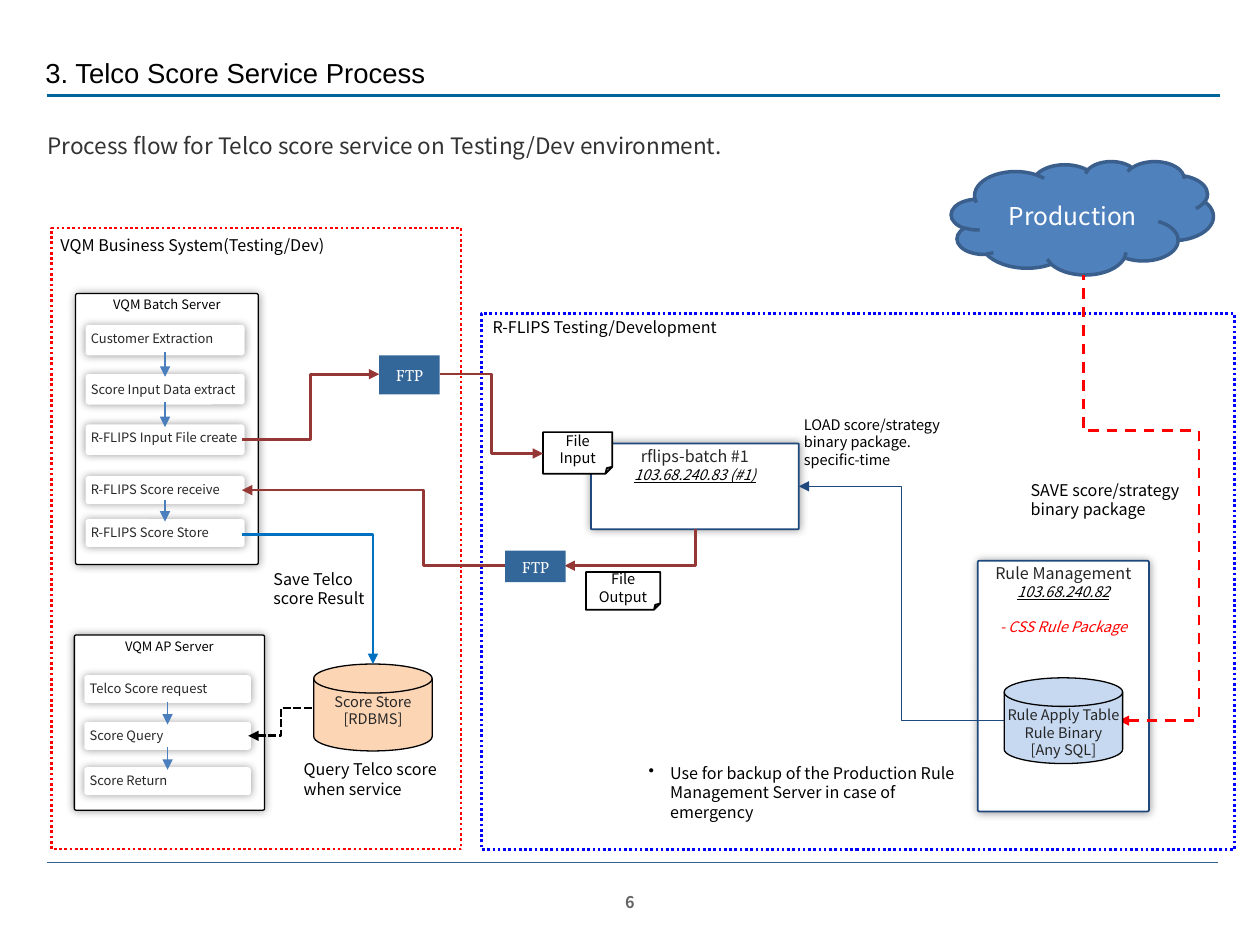
from lxml import etree
from pptx import Presentation
from pptx.dml.color import RGBColor
from pptx.enum.dml import MSO_LINE
from pptx.enum.shapes import MSO_CONNECTOR, MSO_SHAPE
from pptx.enum.text import MSO_ANCHOR, PP_ALIGN
from pptx.oxml.ns import qn
from pptx.util import Inches, Pt

CENTER, LEFT = PP_ALIGN.CENTER, PP_ALIGN.LEFT
TOP, MIDDLE = MSO_ANCHOR.TOP, MSO_ANCHOR.MIDDLE
RECT, ROUND = MSO_SHAPE.RECTANGLE, MSO_SHAPE.ROUNDED_RECTANGLE
FOLDED, CLOUD = MSO_SHAPE.FOLDED_CORNER, MSO_SHAPE.CLOUD
DISK = MSO_SHAPE.FLOWCHART_MAGNETIC_DISK
STRAIGHT, ELBOW = MSO_CONNECTOR.STRAIGHT, MSO_CONNECTOR.ELBOW
DOT, SHORT_DASH, DASH = MSO_LINE.ROUND_DOT, MSO_LINE.SQUARE_DOT, MSO_LINE.DASH

BLACK, WHITE, GREY = "000000", "FFFFFF", "262626"
NAVY, MAROON, RED, BLUE = "1F497D", "953735", "FF0000", "0000FF"
INSETS = (0.1, 0.05, 0.1, 0.05)
SMALL, MEDIUM, LARGE = 7.4, 8.3, 9.2


def rgb(value):
    return RGBColor.from_string(value)


def add_node(parent, tag, **attrs):
    return etree.SubElement(parent, qn(tag), {k: str(v) for k, v in attrs.items()})


class Diagram:
    font = "Noto Sans CJK KR"

    def __init__(self, slide):
        self.shapes = slide.shapes

    def set_text(self, sp, lines, size, color, align=LEFT, anchor=TOP,
                 insets=INSETS, wrap=True, font=None):
        tf = sp.text_frame
        tf.word_wrap, tf.vertical_anchor = wrap, anchor
        tf.margin_left, tf.margin_top, tf.margin_right, tf.margin_bottom = map(Inches, insets)
        tf.text = "\n".join(lines)
        for p in tf.paragraphs:
            p.alignment = align
            self.style(p, size, color, font=font)

    def style(self, p, size, color, font=None, **flags):
        """Format the runs of a paragraph; flags are font attributes such as italic."""
        for r in p.runs:
            r.font.size, r.font.color.rgb = Pt(size), rgb(color)
            r.font.name = font or self.font
            for name in flags:
                setattr(r.font, name, flags[name])

    def label(self, box, lines, size=LARGE, color=BLACK, insets=(0, 0, 0, 0), **text):
        sp = self.shapes.add_textbox(*map(Inches, box))
        self.set_text(sp, lines, size, color, insets=insets, **text)
        return sp

    def stroke(self, line, color, width, dash=None):
        line.color.rgb, line.width = rgb(color), Pt(width)
        if dash:
            line.dash_style = dash

    def shape(self, kind, box, fill=None, line=None, dash=None):
        """line is a (colour, points) pair."""
        sp = self.shapes.add_shape(kind, *map(Inches, box))
        sp.shadow.inherit = False
        if fill:
            sp.fill.solid()
            sp.fill.fore_color.rgb = rgb(fill)
        else:
            sp.fill.background()
        if line:
            self.stroke(sp.line, *line, dash)
        else:
            sp.line.fill.background()
        return sp

    def card(self, box, lines, size, color, line, align=CENTER, anchor=TOP):
        """White box with a soft shadow all round."""
        sp = self.shape(ROUND, box, WHITE, line)
        sp.adjustments[0] = 0.01
        effects = sp._element.spPr.find(qn("a:effectLst"))
        shadow = add_node(effects, "a:outerShdw", blurRad=int(Pt(5)), dist=0, algn="ctr")
        add_node(add_node(shadow, "a:srgbClr", val=BLACK), "a:alpha", val=40000)
        self.set_text(sp, lines, size, color, align, anchor, (0.02,) * 4)
        return sp

    def step(self, box, text, anchor=TOP):
        self.card(box, [text], SMALL, GREY, (WHITE, 3), LEFT, anchor)

    def host(self, box, lines):
        """Server card whose second line is its address."""
        sp = self.card(box, lines, LARGE, GREY, (NAVY, 1))
        self.style(sp.text_frame.paragraphs[1], MEDIUM, BLACK, italic=True, underline=True)
        return sp

    def disk(self, box, lines, fill):
        sp = self.shape(DISK, box, fill, (BLACK, 0.75))
        self.set_text(sp, lines, MEDIUM, GREY, CENTER, insets=(0, 0, 0, 0))

    def file(self, box, lines):
        sp = self.shape(FOLDED, box, WHITE, (BLACK, 1))
        self.set_text(sp, lines, MEDIUM, BLACK, CENTER, MIDDLE)

    def ftp(self, box):
        sp = self.shape(RECT, box, "336699")
        self.set_text(sp, ["FTP"], LARGE, WHITE, CENTER, MIDDLE, font="Vollkorn")
        sp.text_frame.paragraphs[0].line_spacing = 1.05

    def connect(self, start, end, color, width, arrow=None, dash=None,
                kind=STRAIGHT, preset=None, bends=()):
        """arrow is headEnd (at start) or tailEnd; bends are fractions of the extent."""
        cn = self.shapes.add_connector(kind, *map(Inches, start + end))
        self.stroke(cn.line, color, width, dash)
        sp_pr = cn._element.spPr
        if arrow:
            add_node(sp_pr.find(qn("a:ln")), "a:" + arrow, type="triangle")
        add_node(sp_pr, "a:effectLst")
        geometry = sp_pr.find(qn("a:prstGeom"))
        if preset:
            geometry.set("prst", preset)
        for i, bend in enumerate(bends, 1):
            add_node(geometry.find(qn("a:avLst")), "a:gd", name=f"adj{i}",
                     fmla=f"val {round(bend * 100000)}")

    def elbow(self, start, end, color, width=1.5, arrow="headEnd", **route):
        self.connect(start, end, color, width, arrow, kind=ELBOW, **route)


def draw_frame(d):
    d.connect((0.37, 6.84), (9.67, 6.84), "376092", 0.25)
    d.connect((0.37, 0.76), (9.68, 0.76), "006699", 1.5)
    page = d.label((4.82, 7.03, 0.36, 0.29), ["6"], LARGE, "646464", INSETS,
                   align=CENTER, wrap=False)
    page.text_frame.paragraphs[0].runs[0].font.bold = True
    title = d.label((0.36, 0.3, 4.34, 0.36), ["3. Telco Score Service Process"], 15.7,
                    anchor=MIDDLE, font="Arial")
    title.text_frame.paragraphs[0].line_spacing = Pt(33.2)
    intro = d.label((0.28, 1, 9.45, 0.32),
                    ["Process flow for Telco score service on Testing/Dev environment."],
                    12.9, "323232", INSETS)
    intro.text_frame.paragraphs[0].space_before = Pt(6)


def draw_rule_system(d):
    d.host((4.69, 3.52, 1.65, 0.68), ["rflips-batch #1", "103.68.240.83 (#1)"])
    d.label((8.18, 3.81, 1.36, 0.31), ["SAVE score/strategy", "binary package"])
    d.label((6.38, 3.3, 1.3, 0.42),
            ["LOAD score/strategy binary package.", "specific-time"], MEDIUM)
    d.shape(RECT, (3.82, 2.49, 5.98, 4.25), line=(BLUE, 1.5), dash=DOT)
    d.label((3.91, 2.52, 2.4, 0.16), ["R-FLIPS Testing/Development"])
    rules = d.host((7.76, 4.45, 1.36, 1.99),
                   ["Rule Management", "103.68.240.82", "- CSS Rule Package"])
    package = rules.text_frame.paragraphs[2]
    package.space_before = Pt(9.7)
    d.style(package, MEDIUM, RED, italic=True)
    d.file((4.31, 3.43, 0.55, 0.33), ["File Input"])
    d.elbow((6.34, 3.86), (7.97, 5.72), NAVY, 0.5)
    cloud = d.shape(CLOUD, (7.55, 1.28, 2.08, 0.9), "4F81BD", ("3A5F8C", 2))
    d.set_text(cloud, ["Production"], 14, WHITE, CENTER, MIDDLE)
    d.elbow((4.31, 3.6), (3.49, 2.97), MAROON)
    d.file((4.65, 4.54, 0.59, 0.3), ["File", "Output"])
    d.elbow((4.48, 4.49), (5.52, 4.2), MAROON, preset="bentConnector2")
    d.ftp((4.01, 4.37, 0.48, 0.25))
    note = d.label((5.05, 6.01, 2.66, 0.57),
                   ["Use for backup of the Production Rule Management Server in case of emergency"],
                   insets=INSETS)
    p_pr = note.text_frame.paragraphs[0]._p.get_or_add_pPr()
    p_pr.set("marL", str(int(Inches(0.17))))
    p_pr.set("indent", str(-int(Inches(0.17))))
    add_node(p_pr, "a:buChar", char="•")
    d.elbow((8.88, 5.72), (8.6, 2.18), RED, dash=DASH,
            preset="bentConnector4", bends=(-2.27, 0.65))


def draw_business_system(d):
    d.disk((2.49, 5.27, 0.94, 0.69), ["Score Store", "[RDBMS]"], "FCD5B5")
    d.label((2.17, 4.52, 0.85, 0.31), ["Save Telco", "score Result"])
    d.ftp((3.01, 2.82, 0.48, 0.31))
    d.shape(RECT, (0.41, 1.81, 3.25, 4.93), line=(RED, 1.5), dash=DOT)
    d.label((0.48, 1.87, 2.94, 0.16), ["VQM Business System(Testing/Dev)"])
    d.label((2.41, 6.03, 1.17, 0.31), ["Query Telco score", "when service"])

    d.card((0.6, 2.33, 1.45, 2.15), ["VQM Batch Server"], SMALL, BLACK, (BLACK, 0.75))
    for top, height, text, anchor in (
            (2.6, 0.2, "Customer Extraction", TOP),
            (2.99, 0.2, "Score Input Data extract", MIDDLE),
            (3.39, 0.2, "R-FLIPS Input File create", TOP),
            (3.8, 0.18, "R-FLIPS Score receive", TOP),
            (4.14, 0.18, "R-FLIPS Score Store", TOP)):
        d.step((0.7, top, 1.22, height), text, anchor)

    d.card((0.59, 5.04, 1.51, 1.39), ["VQM AP Server"], SMALL, BLACK, (BLACK, 0.75))
    for top, text in ((5.38, "Telco Score request"), (5.75, "Score Query"),
                      (6.11, "Score Return")):
        d.step((0.69, top, 1.28, 0.18), text)

    for x, top, bottom in ((1.31, 2.79, 2.99), (1.31, 3.19, 3.39), (1.31, 3.97, 4.14),
                           (1.33, 5.57, 5.75), (1.33, 5.93, 6.11)):
        d.connect((x, top), (x, bottom), "4B7EBC", 0.75, "tailEnd")
    d.elbow((1.97, 5.84), (2.49, 5.62), BLACK, dash=SHORT_DASH)
    d.elbow((3.01, 2.97), (1.92, 3.49), MAROON)
    d.elbow((1.92, 3.89), (4.01, 4.49), MAROON, bends=(0.69,))
    d.elbow((1.92, 4.24), (2.96, 5.27), "0070C0", arrow="tailEnd", preset="bentConnector2")


def main():
    prs = Presentation()
    prs.slide_width, prs.slide_height = Inches(10), Inches(7.5)
    d = Diagram(prs.slides.add_slide(prs.slide_layouts[6]))
    draw_frame(d)
    draw_rule_system(d)
    draw_business_system(d)
    d.disk((7.97, 5.38, 0.94, 0.68), ["Rule Apply Table", "Rule Binary", "[Any SQL]"], "C6D9F1")
    prs.save("out.pptx")


if __name__ == "__main__":
    main()
